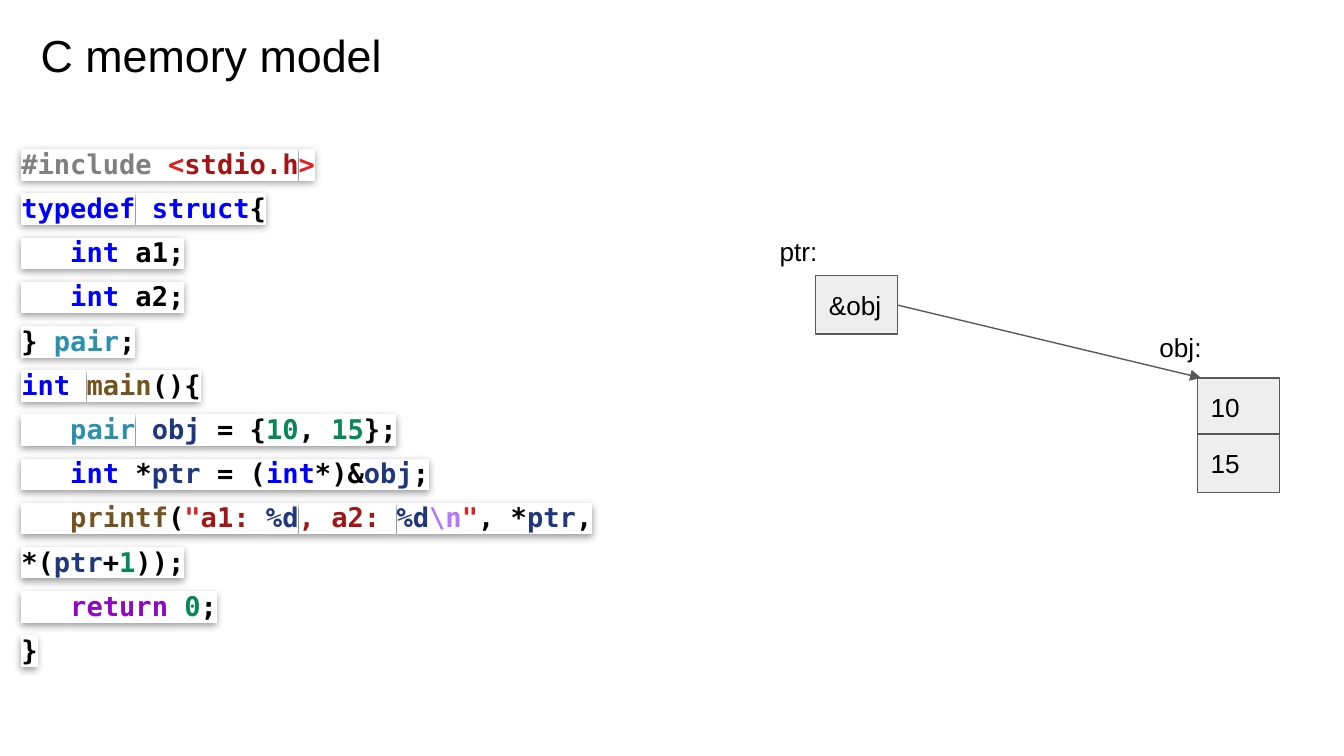
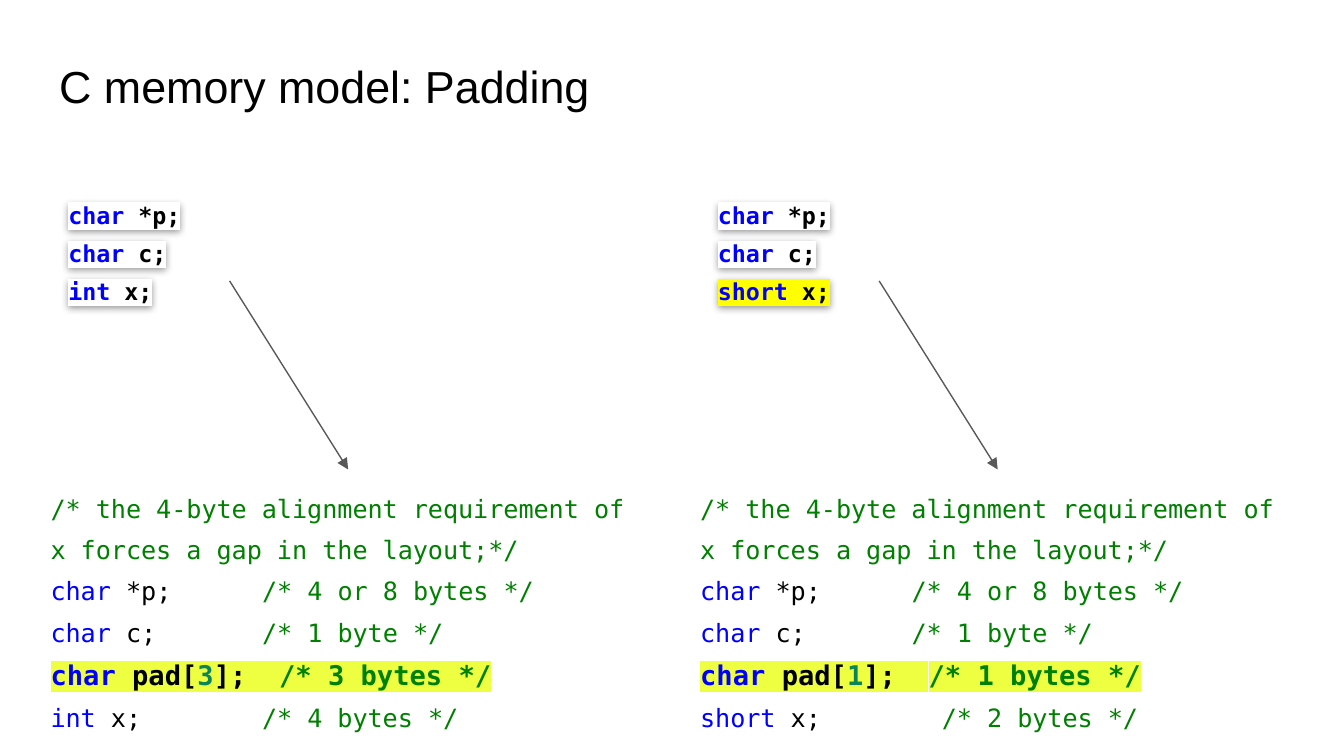
import pptx
import pptx.util
import pptx.dml.color
import pptx.enum.shapes
import pptx.enum.text
import pptx.oxml
import pptx.oxml.ns
from lxml import etree

Pt = pptx.util.Pt

SANS, MONO = "Arial", "DejaVu Sans Mono"
OUTLINE, CELL_FILL = "595959", "EEEEEE"
INK = {
    "plain": "000000", "directive": "808080", "quote": "E21F1F", "string": "A31515",
    "keyword": "0000FF", "type": "2B91AF", "function": "74531F", "variable": "1F377F",
    "number": "098658", "escape": "B776FB", "control": "8F08C4", "comment": "008000",
}

PROGRAM = [
    [("directive", "#include"), ("plain", " "), ("quote", "<"), ("string", "stdio.h"), ("quote", ">")],
    [("keyword", "typedef"), ("plain", " "), ("keyword", "struct"), ("plain", "{")],
    [("plain", "   "), ("keyword", "int"), ("plain", " a1;")],
    [("plain", "   "), ("keyword", "int"), ("plain", " a2;")],
    [("plain", "} "), ("type", "pair"), ("plain", ";")],
    [("keyword", "int"), ("plain", " "), ("function", "main"), ("plain", "(){")],
    [("plain", "   "), ("type", "pair"), ("plain", " "), ("variable", "obj"), ("plain", " = {"),
     ("number", "10"), ("plain", ", "), ("number", "15"), ("plain", "};")],
    [("plain", "   "), ("keyword", "int"), ("plain", " *"), ("variable", "ptr"), ("plain", " = ("),
     ("keyword", "int"), ("plain", "*)&"), ("variable", "obj"), ("plain", ";")],
    [("plain", "   "), ("function", "printf"), ("plain", "("), ("quote", '"'), ("string", "a1: "),
     ("variable", "%d"), ("string", ", a2: "), ("variable", "%d"), ("escape", "\\n"),
     ("quote", '"'), ("plain", ", *"), ("variable", "ptr"), ("plain", ", *("),
     ("variable", "ptr"), ("plain", "+"), ("number", "1"), ("plain", "));")],
    [("plain", "   "), ("control", "return"), ("plain", " "), ("number", "0"), ("plain", ";")],
    [("plain", "}")],
]

MEMORY_LABELS = [("obj:", 614, 170.5, 60), ("ptr:", 410.5, 119, 51)]
MEMORY_CELLS = [("&obj", 437, 147.5), ("10", 641.5, 202.5), ("15", 641.5, 232.5)]
CELL_WIDTH, CELL_HEIGHT = 44, 31.5
POINTER = (481, 163.5, 643.5, 202.5)

PADDING_CASES = [
    {"type": "int", "pad": "3", "size": "4", "mark": {}},
    {"type": "short", "pad": "1", "size": "2", "mark": {2: {"highlight": "FFFF00"}}},
]
CASE_STEP = 348
PAD_LINE = 3
PAD_MARK = {PAD_LINE: {"highlight": "EEFF41", "bold": True, "size": 14.5}}


def color(value):
    return pptx.dml.color.RGBColor.from_string(value)


def write(frame, lines, font=SANS, size=14, bold=False, highlight=None, spacing=None,
          anchor="TOP", marks=None):
    frame.word_wrap = True
    frame.auto_size = pptx.enum.text.MSO_AUTO_SIZE.NONE
    frame.vertical_anchor = pptx.enum.text.MSO_ANCHOR[anchor]
    frame.margin_left = frame.margin_right = Pt(7.2)
    frame.margin_top = frame.margin_bottom = Pt(7.2)
    if isinstance(lines, str):
        lines = [[("plain", lines)]]
    for index, line in enumerate(lines):
        paragraph = frame.add_paragraph() if index else frame.paragraphs[0]
        paragraph.alignment = pptx.enum.text.PP_ALIGN.LEFT
        if spacing:
            paragraph.line_spacing = spacing
        look = {"size": size, "bold": bold, "highlight": highlight}
        look.update((marks or {}).get(index, {}))
        for role, words in line:
            run = paragraph.add_run()
            run.text = words
            run.font.name = font
            run.font.size = Pt(look["size"])
            run.font.bold = look["bold"]
            run.font.color.rgb = color(INK[role])
            if look["highlight"]:
                tint = pptx.oxml.parse_xml(
                    f'<a:highlight {pptx.oxml.ns.nsdecls("a")}>'
                    f'<a:srgbClr val="{look["highlight"]}"/></a:highlight>')
                run.font.fill._xPr.find(pptx.oxml.ns.qn("a:solidFill")).addnext(tint)


def add_label(slide, lines, left, top, width, height, **look):
    label = slide.shapes.add_textbox(Pt(left), Pt(top), Pt(width), Pt(height))
    write(label.text_frame, lines, **look)
    return label


def add_code(slide, lines, left, top, width, height, shaded=False, **look):
    code = add_label(slide, lines, left, top, width, height,
                     font=MONO, highlight="FFFFFF", spacing=1.36, **look)
    if shaded:
        code._element.spPr.append(pptx.oxml.parse_xml(
            f'<a:effectLst {pptx.oxml.ns.nsdecls("a")}>'
            '<a:outerShdw blurRad="50800" dist="19050" dir="5400000" algn="bl" rotWithShape="0">'
            '<a:srgbClr val="000000"><a:alpha val="40000"/></a:srgbClr>'
            '</a:outerShdw></a:effectLst>'))


def add_cell(slide, words, left, top):
    cell = slide.shapes.add_shape(pptx.enum.shapes.MSO_SHAPE.RECTANGLE,
                                  Pt(left), Pt(top), Pt(CELL_WIDTH), Pt(CELL_HEIGHT))
    cell.shadow.inherit = False
    cell.fill.solid()
    cell.fill.fore_color.rgb = color(CELL_FILL)
    cell.line.color.rgb = color(OUTLINE)
    cell.line.width = Pt(0.75)
    write(cell.text_frame, words, anchor="MIDDLE")


def add_arrow(slide, *ends):
    arrow = slide.shapes.add_connector(pptx.enum.shapes.MSO_CONNECTOR.STRAIGHT, *map(Pt, ends))
    arrow.line.color.rgb = color(OUTLINE)
    arrow.line.width = Pt(0.75)
    qn = pptx.oxml.ns.qn
    etree.SubElement(arrow.line._get_or_add_ln(), qn("a:tailEnd"), type="triangle")
    etree.SubElement(arrow._element.spPr, qn("a:effectLst"))


def add_titled_slide(deck, words, left, top, width, height):
    slide = deck.slides.add_slide(deck.slide_layouts[5])
    title = slide.shapes.title
    title.left, title.top, title.width, title.height = map(Pt, (left, top, width, height))
    write(title.text_frame, words, size=24, anchor="BOTTOM")
    return slide


def build_memory(deck):
    slide = add_titled_slide(deck, "C memory model", 14.5, 8, 209, 43)
    add_code(slide, PROGRAM, 4.3, 65.5, 414.5, 312.5, shaded=True, size=14.5, bold=True)
    for words, left, top, width in MEMORY_LABELS:
        add_label(slide, words, left, top, width, 31.5)
    add_arrow(slide, *POINTER)
    for cell in MEMORY_CELLS:
        add_cell(slide, *cell)


def build_padding(deck):
    slide = add_titled_slide(deck, "C memory model: Padding", 24.5, 19.5, 355, 48)
    for index, case in enumerate(PADDING_CASES):
        shift = index * CASE_STEP
        declared = [
            [("keyword", "char"), ("plain", " *p;")],
            [("keyword", "char"), ("plain", " c;")],
            [("keyword", case["type"]), ("plain", " x;")],
        ]
        laid_out = [
            [("comment", "/* the 4-byte alignment requirement of x forces a gap in the layout;*/")],
            [("keyword", "char"), ("plain", " *p;      "), ("comment", "/* 4 or 8 bytes */")],
            [("keyword", "char"), ("plain", " c;       "), ("comment", "/* 1 byte */")],
            [("keyword", "char"), ("plain", " pad["), ("number", case["pad"]), ("plain", "];  "),
             ("comment", f"/* {case['pad']} bytes */")],
            [("keyword", case["type"]), ("plain", " x;        "),
             ("comment", f"/* {case['size']} bytes */")],
        ]
        add_code(slide, declared, 29.5 + shift, 95, 93.5, 110, shaded=True,
                 size=12.5, bold=True, marks=case["mark"])
        add_code(slide, laid_out, 20 + shift, 251.5, 333.5, 143.5, size=13.5, marks=PAD_MARK)
        add_arrow(slide, 123 + shift, 150.5, 186.5 + shift, 251.5)


def main():
    deck = pptx.Presentation()
    deck.slide_width, deck.slide_height = Pt(720), Pt(405)
    build_memory(deck)
    build_padding(deck)
    deck.save("out.pptx")


if __name__ == "__main__":
    main()
